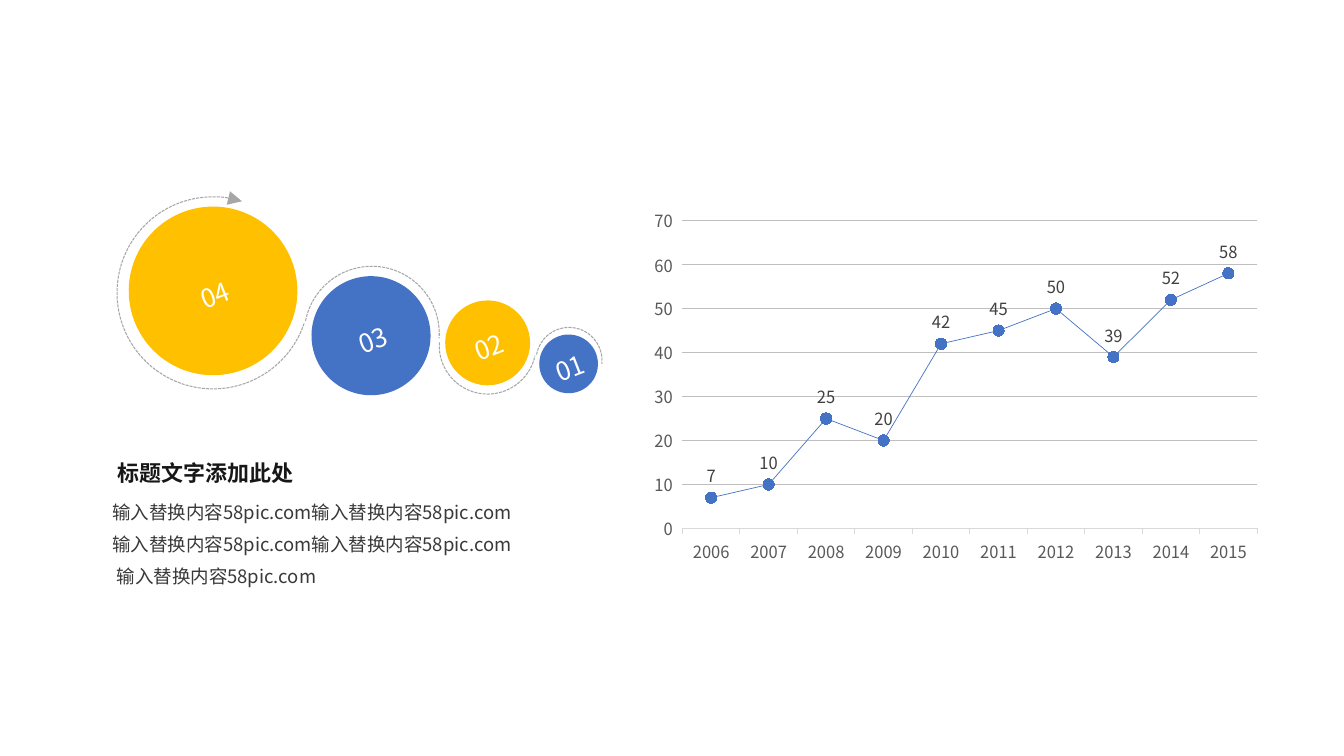
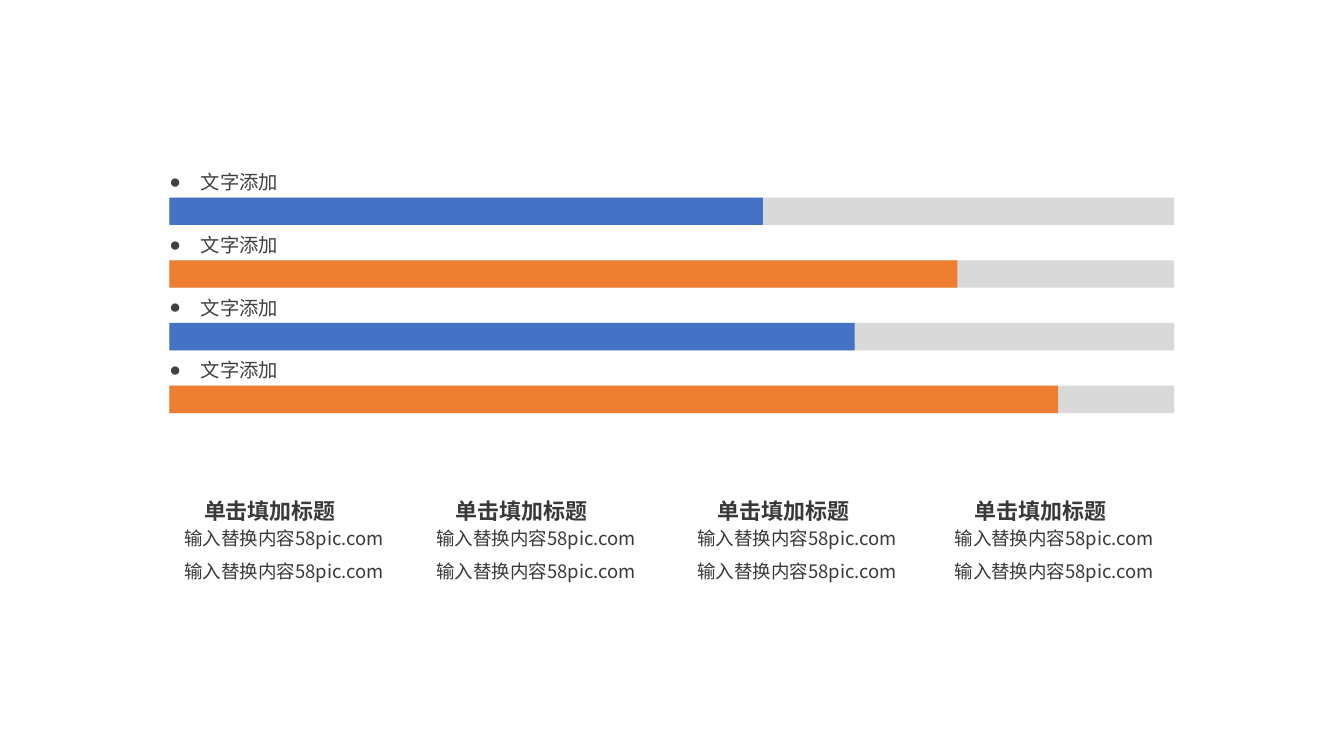
from math import ceil, cos, floor, radians, sin, tan

from lxml.etree import SubElement
from pptx import Presentation
from pptx.chart.data import CategoryChartData
from pptx.dml.color import RGBColor
from pptx.enum.chart import XL_CHART_TYPE, XL_LABEL_POSITION, XL_MARKER_STYLE, XL_TICK_MARK
from pptx.enum.dml import MSO_LINE
from pptx.enum.shapes import MSO_SHAPE
from pptx.enum.text import MSO_ANCHOR, PP_ALIGN
from pptx.oxml.ns import qn
from pptx.util import Cm, Pt

FONT = "Noto Sans CJK SC"
BLUE = RGBColor(0x44, 0x72, 0xC4)
ORANGE = RGBColor(0xED, 0x7D, 0x31)
GOLD = RGBColor(0xFF, 0xC0, 0x00)
WHITE = RGBColor(0xFF, 0xFF, 0xFF)
TRACK_GRAY = RGBColor(0xD9, 0xD9, 0xD9)
TRAIL_GRAY = RGBColor(0xA6, 0xA6, 0xA6)
GRID_GRAY = RGBColor(0xBF, 0xBF, 0xBF)
AXIS_GRAY = RGBColor(0x59, 0x59, 0x59)
LABEL_GRAY = RGBColor(0x40, 0x40, 0x40)
HEADING_BLACK = RGBColor(0x18, 0x17, 0x17)
BODY_GRAY = RGBColor(0x3B, 0x38, 0x38)

BODY_SIZE = 13.2
HEADING_SIZE = 15.7
BODY_TEXT = "输入替换内容58pic.com"


def style_font(font, size, color, bold=False):
    font.name = FONT
    font.size = Pt(size)
    font.color.rgb = color
    font.bold = bold


def write_paragraph(paragraph, text, size, color, line_height, bold=False,
                    align=PP_ALIGN.LEFT, space_before=0):
    paragraph.alignment = align
    paragraph.line_spacing = Pt(line_height)
    paragraph.space_before = Pt(space_before)
    run = paragraph.add_run()
    run.text = text
    style_font(run.font, size, color, bold)
    SubElement(run.font._element, qn("a:ea")).set("typeface", FONT)


def clear_insets(frame):
    frame.margin_left = frame.margin_right = frame.margin_top = frame.margin_bottom = 0


def add_text_frame(slide, left, top, width, height, inset=True):
    frame = slide.shapes.add_textbox(Cm(left), Cm(top), Cm(width), Cm(height)).text_frame
    frame.word_wrap = True
    if not inset:
        clear_insets(frame)
    return frame


def write_body(frame, lines, align):
    for index, line in enumerate(lines):
        paragraph = frame.add_paragraph() if index else frame.paragraphs[0]
        write_paragraph(paragraph, line, BODY_SIZE, BODY_GRAY, 15.7,
                        align=align, space_before=7.9 if index else 0)


def add_filled_shape(slide, kind, left, top, width, height, color):
    shape = slide.shapes.add_shape(kind, Cm(left), Cm(top), Cm(width), Cm(height))
    shape.shadow.inherit = False
    shape.fill.solid()
    shape.fill.fore_color.rgb = color
    shape.line.fill.background()
    return shape


def quarter_stops(start, end):
    low, high = sorted((start, end))
    quarters = [90 * n for n in range(ceil(low / 90), floor(high / 90) + 1)]
    inner = [stop for stop in quarters if low + 10 < stop < high - 10]
    return [start, *(inner if start < end else reversed(inner)), end]


def curve_segment(path_line, center_x, center_y, radius, start, end, origin):
    begin, finish = radians(start), radians(end)
    pull = 4 / 3 * tan((finish - begin) / 4)
    offsets = ((cos(begin) - pull * sin(begin), sin(begin) + pull * cos(begin)),
               (cos(finish) + pull * sin(finish), sin(finish) - pull * cos(finish)),
               (cos(finish), sin(finish)))
    path_line.clear()
    path_line.tag = qn("a:cubicBezTo")
    for dx, dy in offsets:
        point = SubElement(path_line, qn("a:pt"))
        point.set("x", str(Cm(center_x + radius * dx) - origin[0]))
        point.set("y", str(Cm(center_y + radius * dy) - origin[1]))


def add_trail(slide, center_x, center_y, radius, start, end, arrow=False):
    stops = quarter_stops(start, end)
    points = [(Cm(center_x + radius * cos(radians(stop))),
               Cm(center_y + radius * sin(radians(stop)))) for stop in stops]
    builder = slide.shapes.build_freeform(*points[0])
    builder.add_line_segments(points[1:], close=False)
    trail = builder.convert_to_shape()
    origin = (trail.left, trail.top)
    path_lines = list(trail._element.iter(qn("a:lnTo")))
    for path_line, begin, finish in zip(path_lines, stops, stops[1:]):
        curve_segment(path_line, center_x, center_y, radius, begin, finish, origin)
    trail.shadow.inherit = False
    trail.fill.background()
    trail.line.color.rgb = TRAIL_GRAY
    trail.line.width = Pt(0.75)
    trail.line.dash_style = MSO_LINE.SQUARE_DOT
    if arrow:
        head = SubElement(trail.line._get_or_add_ln(), qn("a:tailEnd"))
        for key, value in (("type", "triangle"), ("w", "lg"), ("len", "lg")):
            head.set(key, value)


def add_ball(slide, number, center_x, center_y, diameter, color):
    ball = add_filled_shape(slide, MSO_SHAPE.OVAL, center_x - diameter / 2,
                            center_y - diameter / 2, diameter, diameter, color)
    ball.rotation = 338.7
    frame = ball.text_frame
    clear_insets(frame)
    frame.vertical_anchor = MSO_ANCHOR.MIDDLE
    write_paragraph(frame.paragraphs[0], number, 18.4, WHITE, 28.7, align=PP_ALIGN.CENTER)


def place_plot(chart, **thousandths):
    plot_area = chart._chartSpace.chart.plotArea
    layout = plot_area.find(qn("c:layout"))
    if layout is None:
        layout = SubElement(plot_area, qn("c:layout"))
        plot_area.insert(0, layout)
    manual = SubElement(layout, qn("c:manualLayout"))
    for tag, value in (("layoutTarget", "inner"), ("xMode", "edge"), ("yMode", "edge")):
        SubElement(manual, qn(f"c:{tag}")).set("val", value)
    for tag, value in thousandths.items():
        SubElement(manual, qn(f"c:{tag}")).set("val", str(value / 1000))


def add_growth_chart(slide):
    growth = CategoryChartData()
    growth.categories = [str(year) for year in range(2006, 2016)]
    growth.add_series("Series 1", (7, 10, 25, 20, 42, 45, 50, 39, 52, 58))
    chart = slide.shapes.add_chart(XL_CHART_TYPE.LINE_MARKERS, Cm(16.49), Cm(5.16),
                                   Cm(15.42), Cm(11.18), growth).chart
    chart.has_legend = False
    chart.has_title = False
    chart.font.name = FONT
    chart.font.size = Pt(10)
    place_plot(chart, x=30, y=36, w=955, h=694)

    years, amounts = chart.category_axis, chart.value_axis
    for axis in (years, amounts):
        style_font(axis.tick_labels.font, 12, AXIS_GRAY)
        axis.major_tick_mark = XL_TICK_MARK.OUTSIDE
    years.format.line.color.rgb = TRACK_GRAY
    years.format.line.width = Pt(0.75)
    amounts.format.line.fill.background()
    amounts.minimum_scale, amounts.maximum_scale, amounts.major_unit = 0, 70, 10
    amounts.major_gridlines.format.line.color.rgb = GRID_GRAY
    amounts.major_gridlines.format.line.width = Pt(0.75)

    plot = chart.plots[0]
    plot.vary_by_categories = False
    series = plot.series[0]
    series.smooth = False
    series.format.line.color.rgb = BLUE
    series.format.line.width = Pt(0.5)
    series.marker.style = XL_MARKER_STYLE.CIRCLE
    series.marker.size = 8
    series.marker.format.fill.solid()
    series.marker.format.fill.fore_color.rgb = BLUE
    series.marker.format.line.color.rgb = BLUE
    labels = series.data_labels
    labels.show_value = True
    labels.position = XL_LABEL_POSITION.ABOVE
    style_font(labels.font, 12, LABEL_GRAY)


def add_progress_row(slide, top, length, color):
    left, thickness = 4.27, 0.69
    for width, fill in ((25.32, TRACK_GRAY), (length, color)):
        add_filled_shape(slide, MSO_SHAPE.RECTANGLE, left, top, width, thickness, fill)
    frame = add_text_frame(slide, left, top - 0.69, 4.29, 0.58, inset=False)
    paragraph = frame.paragraphs[0]
    properties = paragraph._p.get_or_add_pPr()
    properties.set("marL", str(Cm(0.79)))
    properties.set("indent", str(-Cm(0.79)))
    SubElement(properties, qn("a:buFont")).set("typeface", "Arial")
    SubElement(properties, qn("a:buChar")).set("char", "●")
    write_paragraph(paragraph, "文字添加", 13.8, LABEL_GRAY, 16.6)


def add_caption(slide, center):
    body = add_text_frame(slide, center - 3.58, 13.16, 7.16, 1.68)
    write_body(body, [BODY_TEXT] * 2, PP_ALIGN.CENTER)
    heading = add_text_frame(slide, center - 2.64, 12.4, 4.57, 0.76, inset=False)
    write_paragraph(heading.paragraphs[0], "单击填加标题", HEADING_SIZE, BODY_GRAY, 22.8,
                    bold=True, align=PP_ALIGN.CENTER)


def build_growth_slide(slide):
    add_trail(slide, 5.37, 7.38, 2.42, 18.6, 287.5, arrow=True)
    add_trail(slide, 9.37, 8.41, 1.7, 191, 364)
    add_trail(slide, 12.29, 8.71, 1.22, 184, 12)
    add_trail(slide, 14.34, 9.08, 0.83, 190, 366)
    add_ball(slide, "04", 5.37, 7.33, 4.25, GOLD)
    add_ball(slide, "03", 9.35, 8.46, 3, BLUE)
    add_ball(slide, "02", 12.29, 8.64, 2.14, GOLD)
    add_ball(slide, "01", 14.33, 9.17, 1.48, BLUE)
    add_growth_chart(slide)
    heading = add_text_frame(slide, 2.72, 11.13, 8.99, 1.17)
    write_paragraph(heading.paragraphs[0], "标题文字添加此处", HEADING_SIZE, HEADING_BLACK,
                    28.4, bold=True)
    body_lines = ((2.41, BODY_TEXT * 2, PP_ALIGN.CENTER),
                  (2.41, BODY_TEXT * 2, PP_ALIGN.CENTER),
                  (2.69, BODY_TEXT, PP_ALIGN.LEFT))
    for index, (left, text, align) in enumerate(body_lines):
        frame = add_text_frame(slide, left, 12.5 + 0.81 * index, 10.9, 0.81)
        write_body(frame, [text], align)


def build_progress_slide(slide):
    rows = ((14.96, BLUE), (19.86, ORANGE), (17.27, BLUE), (22.4, ORANGE))
    for index, (length, color) in enumerate(rows):
        add_progress_row(slide, 4.98 + 1.58 * index, length, color)
    for center in (7.16, 13.51, 20.09, 26.57):
        add_caption(slide, center)


def main():
    presentation = Presentation()
    presentation.slide_width = Cm(33.87)
    presentation.slide_height = Cm(19.05)
    blank = presentation.slide_layouts[6]
    for build in (build_growth_slide, build_progress_slide):
        build(presentation.slides.add_slide(blank))
    presentation.save("out.pptx")


if __name__ == "__main__":
    main()
